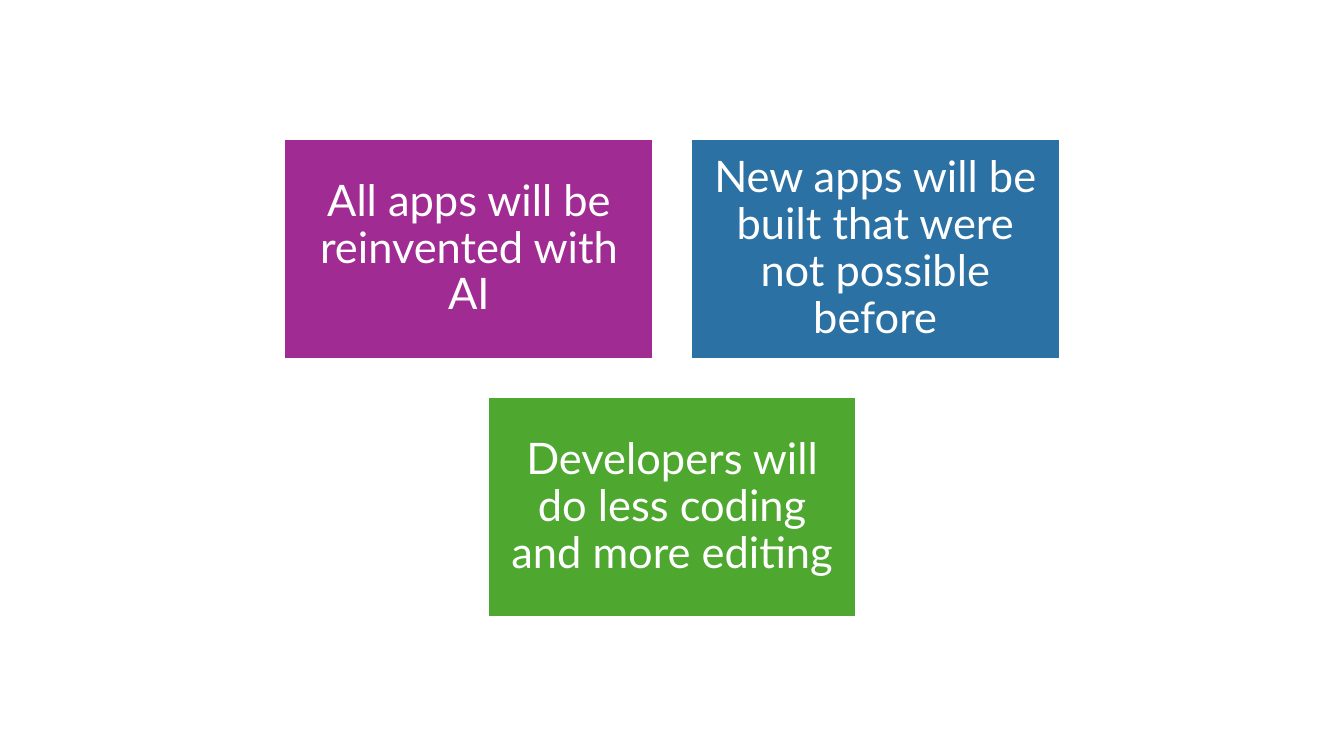
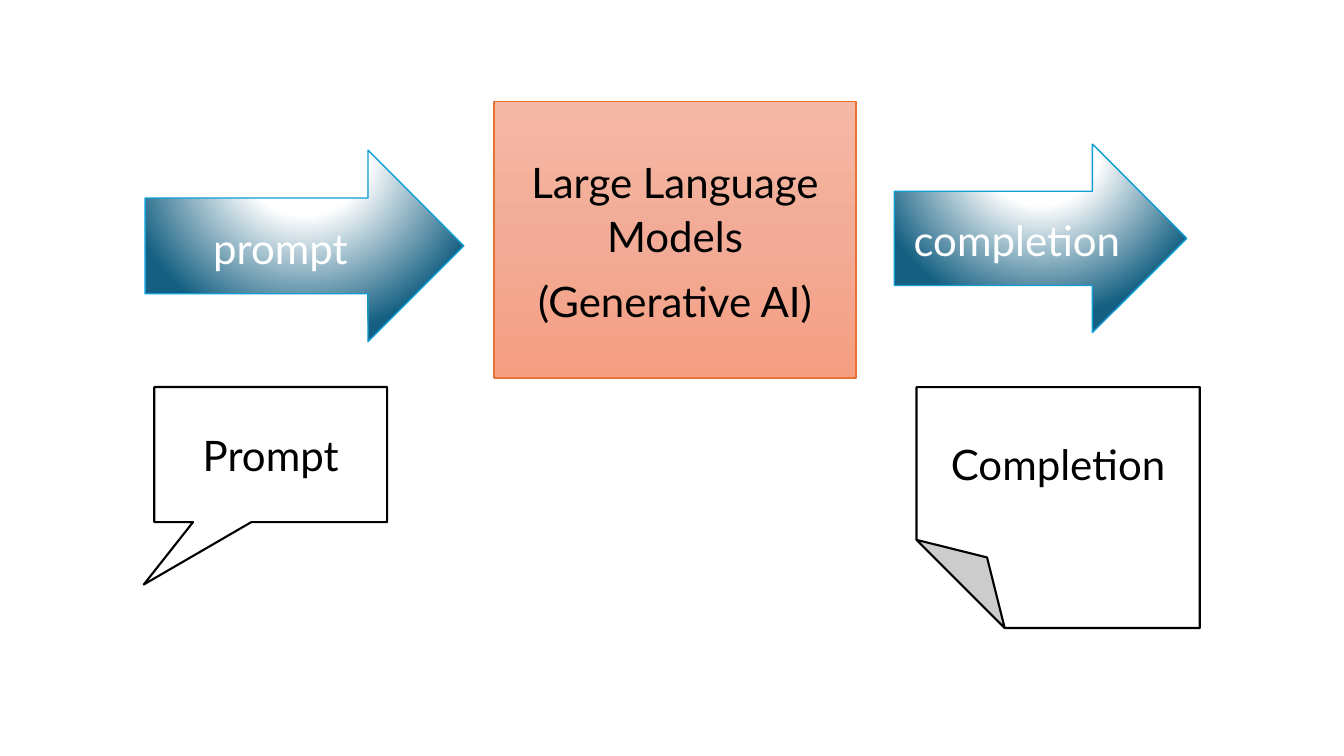
from lxml import etree
from pptx import Presentation
from pptx.dml.color import RGBColor
from pptx.enum.shapes import MSO_SHAPE as Geo
from pptx.enum.text import MSO_ANCHOR as Anchor, PP_ALIGN as Align
from pptx.oxml.ns import nsdecls, qn
from pptx.util import Inches, Pt

WIDE, HIGH = 13.33, 7.5
FONT = "Lato"
WHITE, BLACK = "FFFFFF", "000000"

CARDS = [
    [("All apps will be reinvented with AI", "A02B93"),
     ("New apps will be built that were not possible before", "2C71A4")],
    [("Developers will do less coding and more editing", "4EA72E")],
]
CARD_W, CARD_H, GAP = 3.66, 2.19, 0.37

PEACH = {"stops": [(0, "F5B8A5"), (50, "F2AB96"), (100, "F59E82")],
         "shade": '<a:lin ang="5400000" scaled="0"/>'}
GLOW = {"stops": [(0, WHITE), (35, WHITE), (100, "156082")],
        "shade": '<a:path path="circle"><a:fillToRect l="50000" t="-80000" '
                 'r="50000" b="180000"/></a:path>'}

CARD = {"fill": None, "line": WHITE, "width": 1.5, "ink": WHITE, "size": 31,
        "inset": 0.13, "para": {"line_spacing": 0.9}}
FLOW = {"size": 30, "width": 1, "para": {"line_spacing": 1.07, "space_after": Pt(8)}}
MODEL = {**FLOW, "fill": PEACH, "line": "E97132", "ink": BLACK}
ARROW = {**FLOW, "fill": GLOW, "line": "0F9ED5", "ink": WHITE}
NOTE = {"fill": WHITE, "line": BLACK, "width": 1.5, "ink": BLACK, "size": 30, "para": {}}

PARTS = [
    (Geo.RECTANGLE, (4.9, 1.01, 3.59, 2.74),
     ["Large Language Models", "(Generative AI)"], MODEL),
    (Geo.RIGHT_ARROW, (1.44, 1.49, 3.16, 1.9), ["prompt"], ARROW),
    (Geo.RIGHT_ARROW, (8.87, 1.43, 2.9, 1.87), ["completion"], ARROW),
    (Geo.RECTANGULAR_CALLOUT, (1.53, 3.84, 2.31, 1.34), ["Prompt"],
     {**NOTE, "adjust": {"adj1": -54500, "adj2": 96200}}),
    (Geo.FOLDED_CORNER, (9.09, 3.84, 2.81, 2.39), ["Completion"],
     {**NOTE, "adjust": {"adj": 36600}, "flip": True}),
]


def color(code):
    return RGBColor.from_string(code)


def assign(item, values):
    for name, value in values.items():
        setattr(item, name, value)


def adjust(shape, guides):
    marks = shape.element.spPr.find(qn("a:prstGeom")).find(qn("a:avLst"))
    for mark in list(marks):
        marks.remove(mark)
    for name, value in guides.items():
        etree.SubElement(marks, qn("a:gd"), name=name, fmla=f"val {value}")


def blend(shape, stops, shade):
    marks = "".join(
        f'<a:gs pos="{pos * 1000}"><a:srgbClr val="{code}"/></a:gs>'
        for pos, code in stops)
    grad = etree.fromstring(
        f'<a:gradFill {nsdecls("a")} rotWithShape="1">'
        f'<a:gsLst>{marks}</a:gsLst>{shade}</a:gradFill>')
    shape.fill.background()
    props = shape.element.spPr
    props.replace(props.find(qn("a:noFill")), grad)


def write(frame, lines, look):
    assign(frame, {"word_wrap": True, "vertical_anchor": Anchor.MIDDLE})
    if "inset" in look:
        sides = ("left", "top", "right", "bottom")
        assign(frame, {f"margin_{side}": Inches(look["inset"]) for side in sides})
    for num, line in enumerate(lines):
        para = frame.add_paragraph() if num else frame.paragraphs[0]
        assign(para, {"alignment": Align.CENTER, **look["para"]})
        run = para.add_run()
        run.text = line
        assign(run.font, {"name": FONT, "size": Pt(look["size"])})
        run.font.color.rgb = color(look["ink"])


def draw(slide, geo, box, lines, look):
    shape = slide.shapes.add_shape(geo, *map(Inches, box))
    shape.shadow.inherit = False
    if "adjust" in look:
        adjust(shape, look["adjust"])
    if look.get("flip"):
        shape.element.spPr.find(qn("a:xfrm")).set("flipH", "1")
    if isinstance(look["fill"], dict):
        blend(shape, **look["fill"])
    else:
        shape.fill.solid()
        shape.fill.fore_color.rgb = color(look["fill"])
    shape.line.color.rgb = color(look["line"])
    shape.line.width = Pt(look["width"])
    write(shape.text_frame, lines, look)


def span(count, size):
    return count * size + (count - 1) * GAP


def cards(slide):
    top = (HIGH - span(len(CARDS), CARD_H)) / 2
    for row, items in enumerate(CARDS):
        left = (WIDE - span(len(items), CARD_W)) / 2
        for col, (text, fill) in enumerate(items):
            box = (left + col * (CARD_W + GAP), top + row * (CARD_H + GAP),
                   CARD_W, CARD_H)
            draw(slide, Geo.RECTANGLE, box, [text], {**CARD, "fill": fill})


def flow(slide):
    for part in PARTS:
        draw(slide, *part)


def main():
    deck = Presentation()
    assign(deck, {"slide_width": Inches(WIDE), "slide_height": Inches(HIGH)})
    for build in (cards, flow):
        build(deck.slides.add_slide(deck.slide_layouts[6]))
    deck.save("out.pptx")


if __name__ == "__main__":
    main()
